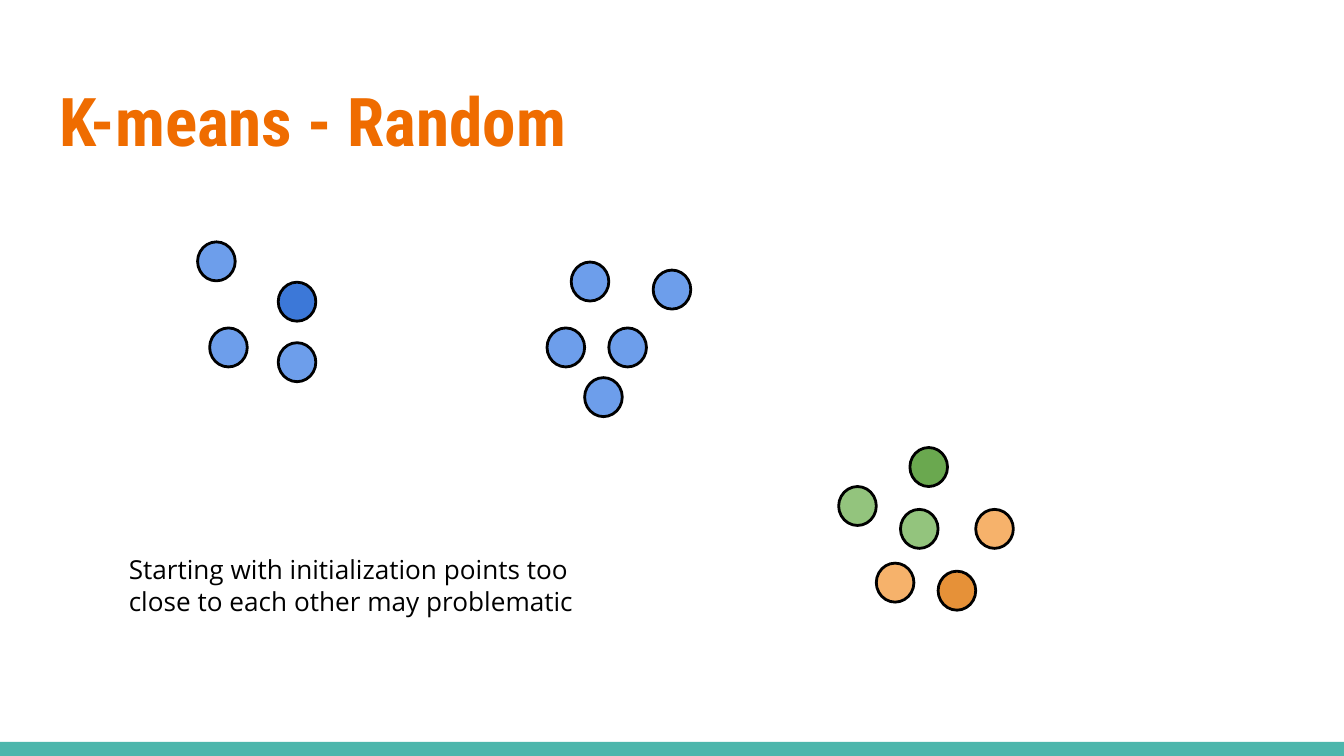
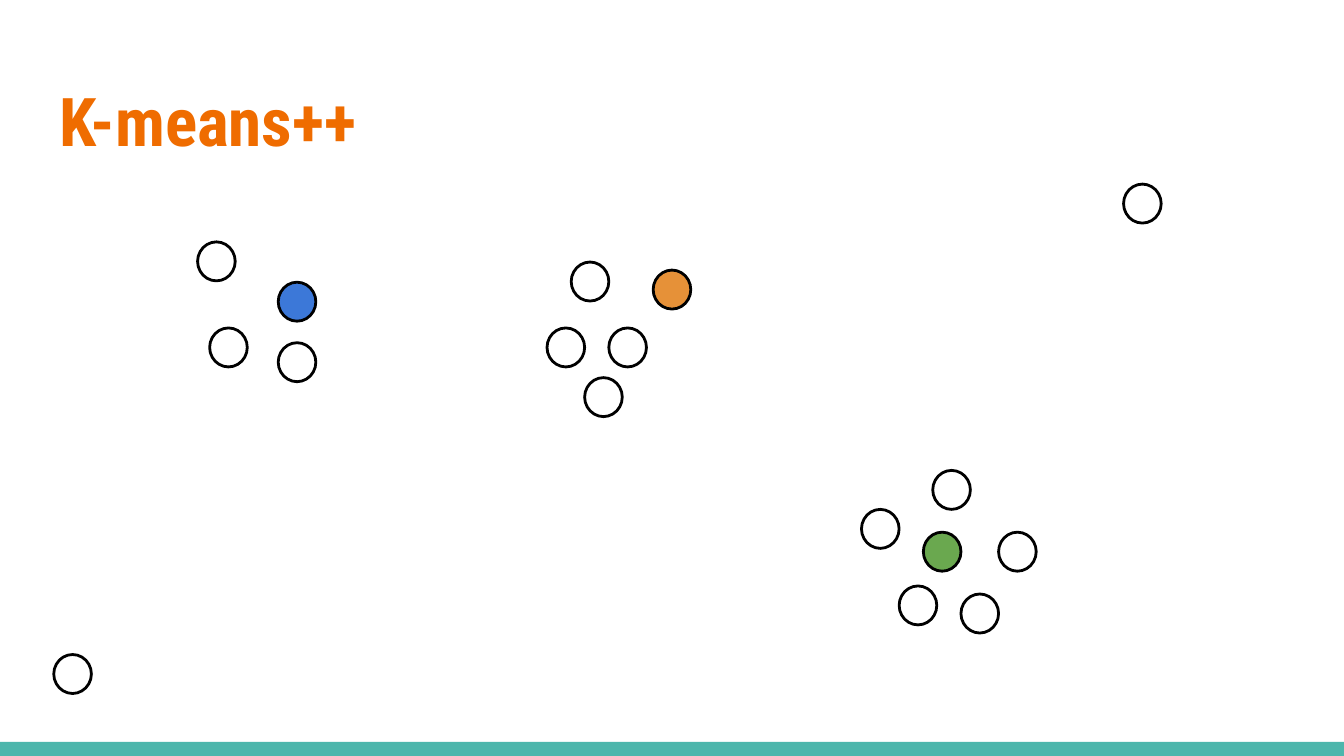
from pptx import Presentation
from pptx import util as u
from pptx.dml.color import RGBColor
from pptx.enum import shapes, text

# Shared style
TITLE_FONT, BODY_FONT = "Roboto Condensed", "Open Sans"
ORANGE, TEAL, BLACK = "EF6C00", "4DB6AC", "000000"
BLUE, LIGHT_BLUE = "3C78D8", "6D9EEB"
GREEN, LIGHT_GREEN = "6AA84F", "93C47D"
AMBER, LIGHT_AMBER = "E69138", "F6B26B"

# Data points, as the left and top of each dot
LEFT_CLUSTER = [(1.47, 1.8), (2.07, 2.1), (1.56, 2.44), (2.07, 2.55)]
MIDDLE_CLUSTER = [(4.25, 1.95), (4.07, 2.44), (4.86, 2.01), (4.53, 2.44), (4.35, 2.81)]
RIGHT_CLUSTER = [(6.98, 4.25), (7.26, 3.79), (6.52, 4.19), (6.7, 3.79), (6.77, 3.33), (6.24, 3.62)]
OUTLIERS = [(8.36, 1.37), (0.4, 4.87)]
RIGHT_SHIFT = 0.17


def color(value):
    return RGBColor.from_string(value)


def place(shape, left, top, width, height):
    shape.left, shape.top = u.Inches(left), u.Inches(top)
    shape.width, shape.height = u.Inches(width), u.Inches(height)


def write(shape, content, font, size, fill, bold=False):
    frame = shape.text_frame
    frame.word_wrap = True
    frame.auto_size = text.MSO_AUTO_SIZE.NONE
    frame.vertical_anchor = text.MSO_ANCHOR.TOP
    frame.margin_left = frame.margin_right = u.Inches(0.1)
    frame.margin_top = frame.margin_bottom = u.Inches(0.1)
    paragraph = frame.paragraphs[0]
    paragraph.alignment = text.PP_ALIGN.LEFT
    run = paragraph.add_run()
    run.text = content
    run.font.name, run.font.size, run.font.bold = font, u.Pt(size), bold
    run.font.color.rgb = color(fill)


def add_preset(slide, preset, left, top, width, height, fill=None, line=None):
    shape = slide.shapes.add_shape(preset, 0, 0, 0, 0)
    place(shape, left, top, width, height)
    shape.shadow.inherit = False
    if fill:
        shape.fill.solid()
        shape.fill.fore_color.rgb = color(fill)
    else:
        shape.fill.background()
    if line:
        shape.line.color.rgb = color(line)
        shape.line.width = u.Pt(1.5)
    else:
        shape.line.fill.background()


def add_base_slide(presentation, title):
    slide = presentation.slides.add_slide(presentation.slide_layouts[5])
    add_preset(slide, shapes.MSO_SHAPE.RECTANGLE, 0, 5.52, 10, 0.11, fill=TEAL)
    place(slide.shapes.title, 0.34, 0.49, 9.32, 0.77)
    write(slide.shapes.title, title, TITLE_FONT, 36, ORANGE, bold=True)
    return slide


def add_dots(slide, points, fills, shift=0):
    for (left, top), fill in zip(points, fills):
        add_preset(slide, shapes.MSO_SHAPE.OVAL, left + shift, top + shift,
                   0.28, 0.29, fill=fill, line=BLACK)


def add_random_slide(presentation):
    slide = add_base_slide(presentation, "K-means - Random")
    add_dots(slide, LEFT_CLUSTER, [LIGHT_BLUE, BLUE, LIGHT_BLUE, LIGHT_BLUE])
    add_dots(slide, MIDDLE_CLUSTER, [LIGHT_BLUE] * 5)
    add_dots(slide, RIGHT_CLUSTER,
             [AMBER, LIGHT_AMBER, LIGHT_AMBER, LIGHT_GREEN, GREEN, LIGHT_GREEN])
    caption = slide.shapes.add_textbox(0, 0, 0, 0)
    place(caption, 0.86, 4.02, 3.82, 0.64)
    write(caption, "Starting with initialization points too close to each other may problematic",
          BODY_FONT, 14, BLACK)


def add_plus_plus_slide(presentation):
    slide = add_base_slide(presentation, "K-means++")
    # Only the starting centre of each cluster is filled
    add_dots(slide, LEFT_CLUSTER, [None, BLUE, None, None])
    add_dots(slide, MIDDLE_CLUSTER, [None, None, AMBER, None, None])
    add_dots(slide, RIGHT_CLUSTER, [None, None, None, GREEN, None, None], RIGHT_SHIFT)
    add_dots(slide, OUTLIERS, [None, None])


def main():
    presentation = Presentation()
    # Widescreen, 16:9
    presentation.slide_width = u.Inches(10)
    presentation.slide_height = presentation.slide_width * 9 // 16
    add_random_slide(presentation)
    add_plus_plus_slide(presentation)
    presentation.save("out.pptx")


if __name__ == "__main__":
    main()
